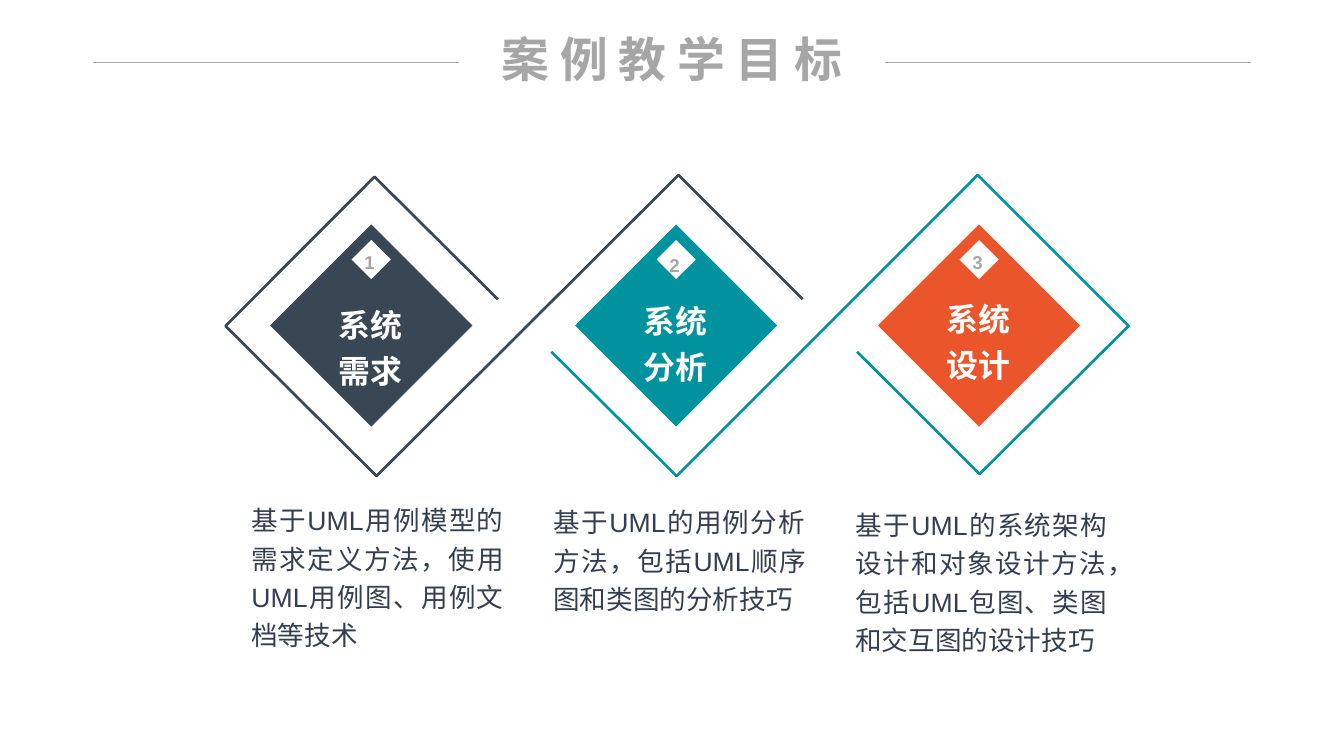
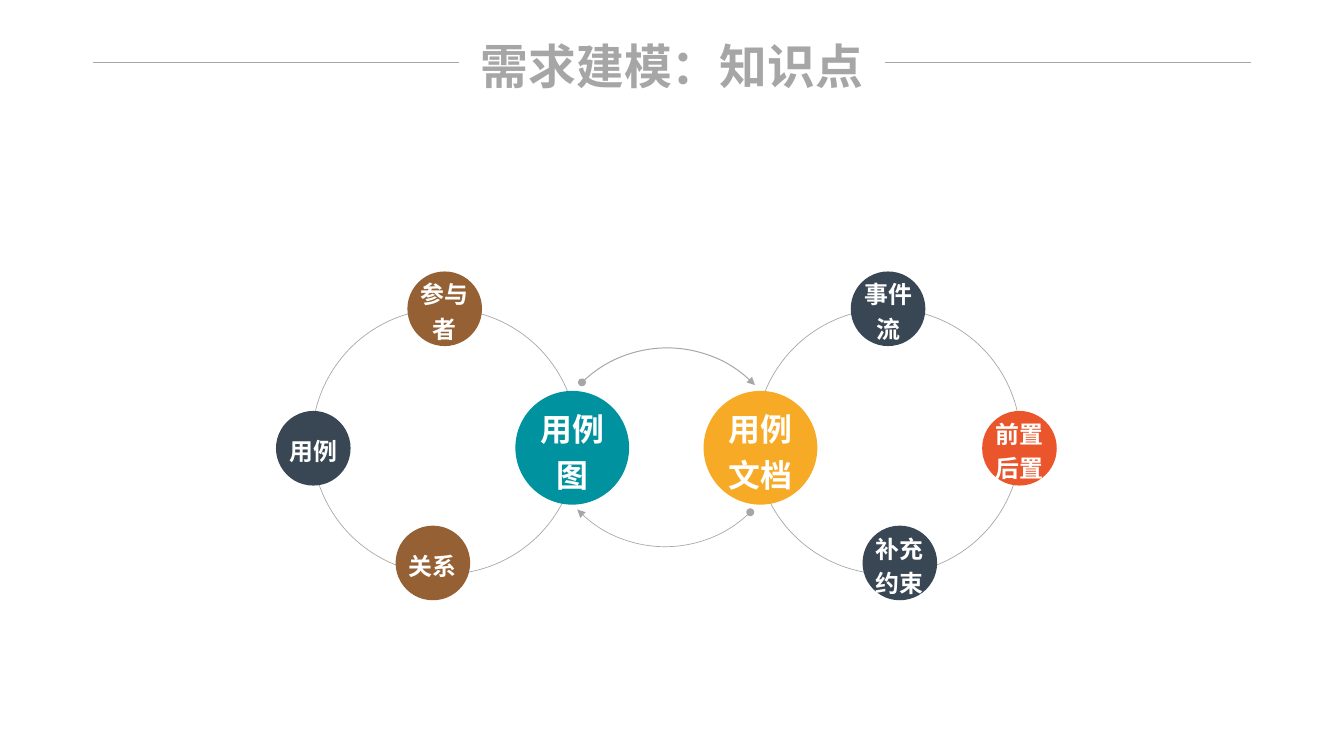
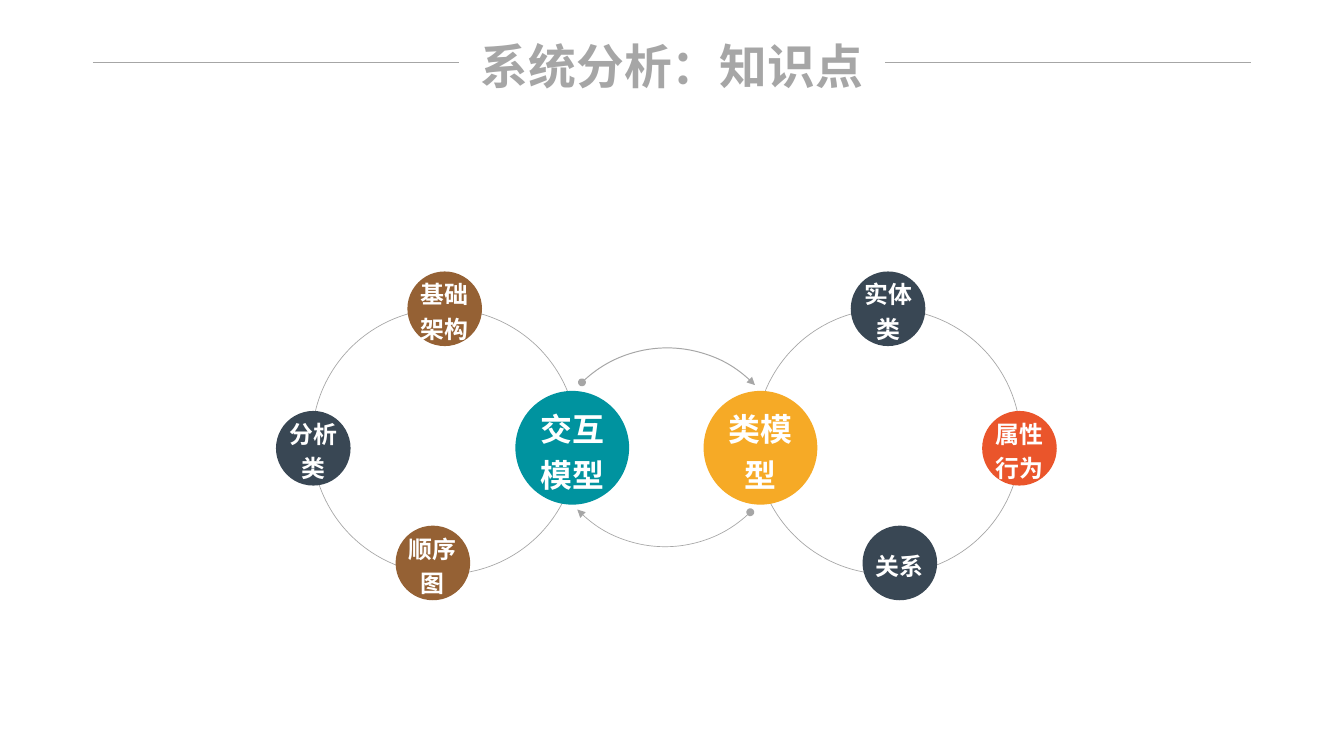
from dataclasses import dataclass

from lxml.etree import SubElement
from pptx import Presentation
from pptx.dml.color import RGBColor
from pptx.enum.shapes import MSO_CONNECTOR as Connector, MSO_SHAPE as Shape
from pptx.enum.text import MSO_ANCHOR as Anchor, MSO_AUTO_SIZE as AutoSize, PP_ALIGN as Align
from pptx.oxml.ns import qn
from pptx.util import Pt


@dataclass(frozen=True)
class Theme:
    font: str = "Arial"
    gray: str = "A6A6A6"
    white: str = "FFFFFF"
    ink: str = "333F50"
    navy: str = "394754"
    teal: str = "00939F"
    orange: str = "EA552B"
    amber: str = "F6AA26"
    brown: str = "956134"
    title: float = 36
    heading: float = 24
    body: float = 20
    label: float = 18
    number: float = 14
    spacing: float = 1.2


THEME = Theme()
WIDTH, HEIGHT = 1012.5, 569.5
TITLE_ONLY = 5


# Text and formatting helpers

def color(value):
    return RGBColor.from_string(value)


def write_text(shape, text, *, size, fill=THEME.white, bold=True, align=Align.CENTER,
               anchor=Anchor.MIDDLE, spacing=THEME.spacing, wrap=True):
    frame = shape.text_frame
    frame.auto_size = AutoSize.NONE
    frame.word_wrap = wrap
    frame.vertical_anchor = anchor
    frame.margin_left = frame.margin_top = frame.margin_right = frame.margin_bottom = 0
    paragraph = frame.paragraphs[0]
    paragraph.alignment = align
    paragraph.line_spacing = spacing
    run = paragraph.add_run()
    run.text = text
    run.font.name = THEME.font
    run.font.size = Pt(size)
    run.font.bold = bold
    run.font.color.rgb = color(fill)


def add_text(slide, text, left, top, width, height, **text_format):
    box = slide.shapes.add_textbox(Pt(left), Pt(top), Pt(width), Pt(height))
    write_text(box, text, **text_format)


def set_line(shape, line, width):
    shape.line.color.rgb = color(line)
    shape.line.width = Pt(width)


def add_centered(slide, kind, x, y, size, *, fill=None, line=None, width=0.5, rotation=0):
    """Add a square-framed preset shape around the centre (x, y)."""
    shape = slide.shapes.add_shape(kind, Pt(x - size / 2), Pt(y - size / 2), Pt(size), Pt(size))
    shape.shadow.inherit = False
    shape.rotation = rotation
    if fill:
        shape.fill.solid()
        shape.fill.fore_color.rgb = color(fill)
    else:
        shape.fill.background()
    if line:
        set_line(shape, line, width)
    else:
        shape.line.fill.background()
    return shape


def add_rule(slide, left, right, y):
    rule = slide.shapes.add_connector(Connector.STRAIGHT, Pt(left), Pt(y), Pt(right), Pt(y))
    set_line(rule, THEME.gray, 0.5)
    SubElement(rule.element.spPr, qn("a:effectLst"))


def add_outline(slide, points, line):
    start, *others = [(Pt(x), Pt(y)) for x, y in points]
    builder = slide.shapes.build_freeform(*start)
    builder.add_line_segments(others, close=False)
    shape = builder.convert_to_shape()
    shape.shadow.inherit = False
    shape.fill.background()
    set_line(shape, line, 2)


# Shared slide frame

def add_titled_slide(presentation, title, top=27.4):
    slide = presentation.slides.add_slide(presentation.slide_layouts[TITLE_ONLY])
    placeholder = slide.shapes.title
    placeholder.left, placeholder.top = Pt(350.7), Pt(top)
    placeholder.width, placeholder.height = Pt(311), Pt(43.9)
    write_text(placeholder, title, size=THEME.title, fill=THEME.gray, spacing=1)
    margin, length = 70, 275.7
    add_rule(slide, margin, margin + length, 46.8)
    add_rule(slide, WIDTH - margin - length, WIDTH - margin, 46.8)
    return slide


# Three linked diamonds

def add_diamond(slide, number, x, fill, number_top, label, label_top):
    add_centered(slide, Shape.RECTANGLE, x, 245.2, 108.5, fill=fill, line=THEME.white, rotation=315)
    add_centered(slide, Shape.RECTANGLE, x, 195.5, 20.9, fill=THEME.white, rotation=315)
    add_text(slide, str(number), x - 5.2, number_top, 8, 18.7,
             size=THEME.number, fill=THEME.gray, wrap=False)
    add_text(slide, label, x - 36, label_top, 71, 69, size=THEME.heading, anchor=Anchor.TOP)


def add_goals_slide(presentation):
    slide = add_titled_slide(presentation, "案 例 教 学 目 标", top=22.3)
    add_outline(slide, [(604.8, 225.4), (511.2, 131.8), (283.7, 358.6),
                        (169.9, 245.5), (282.2, 133.2), (375.1, 225.4)], THEME.navy)
    add_outline(slide, [(415.4, 265), (509.8, 358.6), (736.6, 131.8),
                        (850.3, 245.5), (738, 357.1), (645.8, 265)], THEME.teal)
    goals = [
        (279.7, THEME.navy, 186.5, "系统需求", 224.6, 375.1,
         "基于UML用例模型的需求定义方法，使用UML用例图、用例文档等技术"),
        (509.4, THEME.teal, 188.5, "系统分析", 221.8, 376.6,
         "基于UML的用例分析方法，包括UML顺序图和类图的分析技巧"),
        (737.6, THEME.orange, 186.5, "系统设计", 220.3, 378.7,
         "基于UML的系统架构设计和对象设计方法，包括UML包图、类图和交互图的设计技巧"),
    ]
    for index, (x, fill, number_top, label, label_top, text_top, text) in enumerate(goals):
        add_diamond(slide, index + 1, x, fill, number_top, label, label_top)
        add_text(slide, text, 189.4 + index * 227.5, text_top, 190, 116.6, size=THEME.body,
                 fill=THEME.ink, bold=False, align=Align.JUSTIFY, anchor=Anchor.TOP)


# Two mirrored rings of knowledge points

def add_ring(slide, side, hub, hub_fill, nodes):
    """Draw a ring; side is -1 left of the axis and 1 right of it."""
    axis = 502
    add_centered(slide, Shape.OVAL, axis + side * 167, 332.6, 200, line=THEME.gray)
    circle = add_centered(slide, Shape.OVAL, axis + side * 70.9, 337.3, 85.7, fill=hub_fill)
    write_text(circle, hub, size=THEME.heading)
    places = [(266, 337.7), (167, 232.6), (175.9, 424.1)]
    for (offset, y), (label, fill) in zip(places, nodes):
        circle = add_centered(slide, Shape.OVAL, axis + side * offset, y, 56.2, fill=fill)
        write_text(circle, label, size=THEME.label)


def add_arc_arrow(slide, x, y, start, end, width):
    arc = add_centered(slide, Shape.ARC, x, y, 184.3, line=THEME.gray, width=width, rotation=315.9)
    # Arc angles are stored in 60000ths of a degree, adjustments in 100000ths
    arc.adjustments[0], arc.adjustments[1] = start * 0.6, end * 0.6
    line = arc.element.spPr.find(qn("a:ln"))
    SubElement(line, qn("a:headEnd"), type="oval")
    SubElement(line, qn("a:tailEnd"), type="triangle")


def add_knowledge_slide(presentation, title, left_hub, left_labels, right_hub, right_labels):
    slide = add_titled_slide(presentation, title)
    left_fills = [THEME.navy, THEME.brown, THEME.brown]
    right_fills = [THEME.orange, THEME.navy, THEME.navy]
    add_ring(slide, -1, left_hub, THEME.teal, zip(left_labels, left_fills))
    add_ring(slide, 1, right_hub, THEME.amber, zip(right_labels, right_fills))
    add_arc_arrow(slide, 502.6, 354.2, 270, 0, 0.75)
    add_arc_arrow(slide, 501.1, 319.7, 90, 180, 0.5)


def main():
    presentation = Presentation()
    presentation.slide_width, presentation.slide_height = Pt(WIDTH), Pt(HEIGHT)
    add_goals_slide(presentation)
    add_knowledge_slide(presentation, "需求建模：知识点",
                        "用例图", ["用例", "参与者", "关系"],
                        "用例文档", ["前置后置", "事件流", "补充约束"])
    add_knowledge_slide(presentation, "系统分析：知识点",
                        "交互模型", ["分析类", "基础架构", "顺序图"],
                        "类模型", ["属性行为", "实体类", "关系"])
    presentation.save("out.pptx")


if __name__ == "__main__":
    main()
